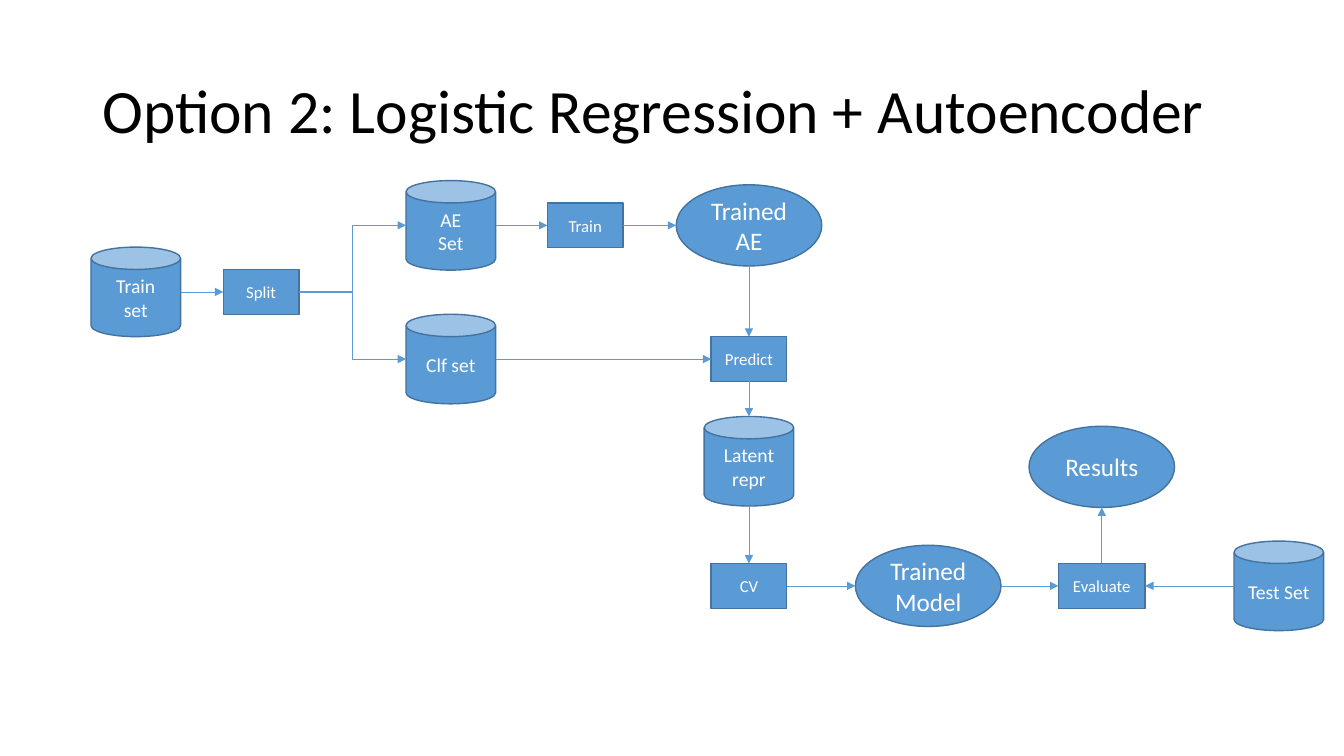
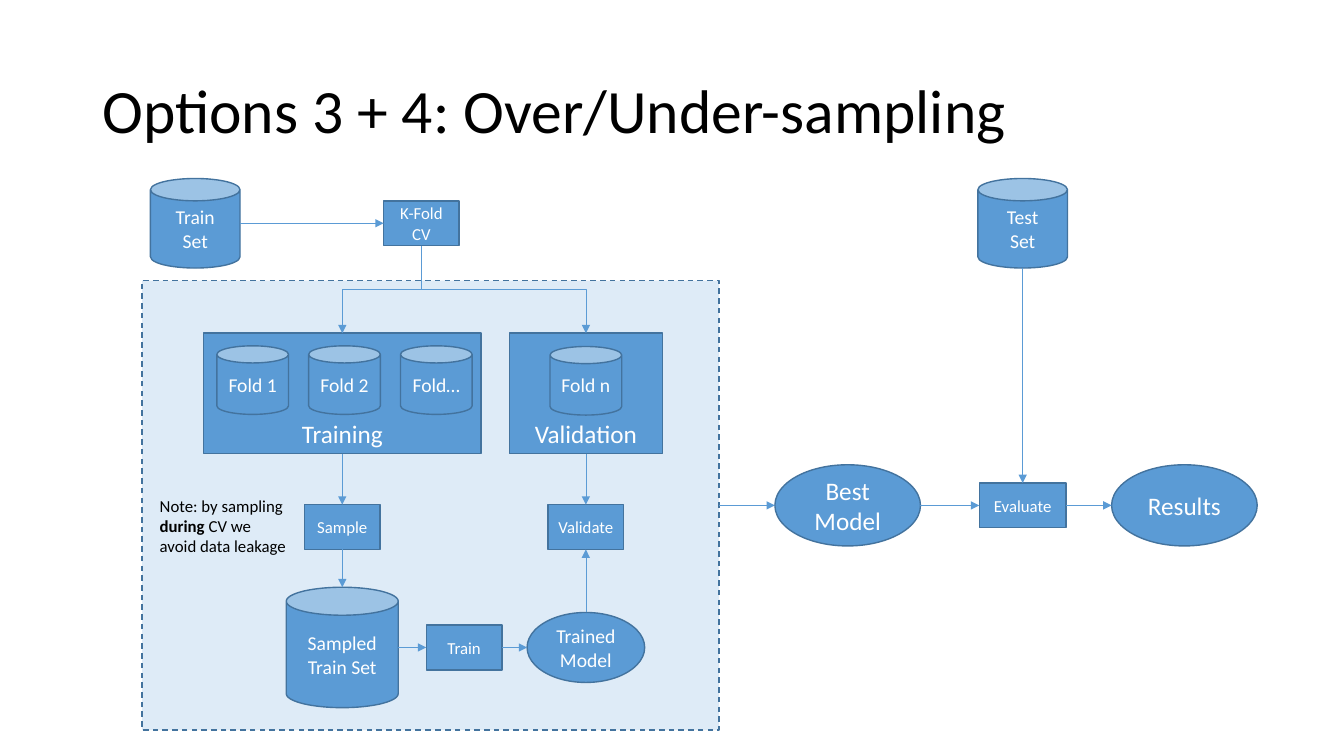
from dataclasses import dataclass
from enum import IntEnum

from lxml.etree import SubElement
from pptx import Presentation
from pptx.dml.color import RGBColor
from pptx.enum.dml import MSO_LINE
from pptx.enum.shapes import MSO_CONNECTOR as CONN, MSO_SHAPE as SHAPE
from pptx.enum.text import MSO_ANCHOR as ANCHOR, PP_ALIGN as ALIGN
from pptx.oxml.ns import qn
from pptx.util import Pt

# Shared look
BLUE = RGBColor(0x5B, 0x9B, 0xD5)
EDGE = RGBColor(0x43, 0x73, 0x9E)
PALE = RGBColor(0xDE, 0xEB, 0xF7)
WHITE = RGBColor(0xFF, 0xFF, 0xFF)
BLACK = RGBColor(0, 0, 0)
FONT = "Calibri"


class Side(IntEnum):
    TOP = 0
    LEFT = 1
    BOTTOM = 2
    RIGHT = 3


@dataclass(frozen=True)
class Kind:
    shape: SHAPE
    width: float
    height: float
    size: int = 14
    anchor: ANCHOR = ANCHOR.MIDDLE
    fill: RGBColor = BLUE
    dashed: bool = False


@dataclass(frozen=True)
class Node:
    """A shape placed by its centre."""
    name: str
    kind: Kind
    x: float
    y: float
    text: str = ""

    def side(self, side: Side) -> tuple[float, float]:
        dx, dy = {Side.TOP: (0, -1), Side.LEFT: (-1, 0),
                  Side.BOTTOM: (0, 1), Side.RIGHT: (1, 0)}[side]
        return self.x + dx * self.kind.width / 2, self.y + dy * self.kind.height / 2


@dataclass(frozen=True)
class Link:
    start: str
    out: Side
    end: str
    into: Side
    bent: bool = False


# Kinds of node
DATA = Kind(SHAPE.CAN, 64, 64)
FOLD = Kind(SHAPE.CAN, 51.2, 49)
SAMPLED = Kind(SHAPE.CAN, 80, 86)
STEP = Kind(SHAPE.RECTANGLE, 54, 32, 12)
EVALUATE = Kind(SHAPE.RECTANGLE, 62, 32, 12)
MODEL = Kind(SHAPE.OVAL, 104, 58, 18)
SMALL_MODEL = Kind(SHAPE.OVAL, 84, 50)
TRAINING = Kind(SHAPE.RECTANGLE, 198, 86, 18, ANCHOR.BOTTOM)
VALIDATION = Kind(SHAPE.RECTANGLE, 109.5, 86, 18, ANCHOR.BOTTOM)
PANEL = Kind(SHAPE.RECTANGLE, 412, 321, fill=PALE, dashed=True)

# Slide 1: rows and columns of the flow
AE_ROW, SPLIT_ROW, CLF_ROW, MODEL_ROW = 161, 208.5, 256.5, 418.5
SET_COL, LATENT_COL, EVAL_COL = 322, 535, 787
AE_NODES = [
    Node("train set", DATA, 97, SPLIT_ROW, "Train\vset"),
    Node("split", STEP, 186.5, SPLIT_ROW, "Split"),
    Node("ae set", DATA, SET_COL, AE_ROW, "AE\vSet"),
    Node("clf set", DATA, SET_COL, CLF_ROW, "Clf set"),
    Node("train", STEP, 418, AE_ROW, "Train"),
    Node("ae", MODEL, LATENT_COL, AE_ROW, "Trained AE"),
    Node("predict", STEP, LATENT_COL, CLF_ROW, "Predict"),
    Node("latent", DATA, LATENT_COL, 329.5, "Latent\vrepr"),
    Node("cv", STEP, LATENT_COL, MODEL_ROW, "CV"),
    Node("model", MODEL, 663, MODEL_ROW, "Trained Model"),
    Node("evaluate", EVALUATE, EVAL_COL, MODEL_ROW, "Evaluate"),
    Node("test set", DATA, 913.5, MODEL_ROW, "Test Set"),
    Node("results", MODEL, EVAL_COL, 333.5, "Results"),
]
AE_LINKS = [
    Link("train set", Side.RIGHT, "split", Side.LEFT),
    Link("split", Side.RIGHT, "ae set", Side.LEFT, bent=True),
    Link("split", Side.RIGHT, "clf set", Side.LEFT, bent=True),
    Link("ae set", Side.RIGHT, "train", Side.LEFT),
    Link("train", Side.RIGHT, "ae", Side.LEFT),
    Link("ae", Side.BOTTOM, "predict", Side.TOP),
    Link("clf set", Side.RIGHT, "predict", Side.LEFT),
    Link("predict", Side.BOTTOM, "latent", Side.TOP),
    Link("latent", Side.BOTTOM, "cv", Side.TOP),
    Link("cv", Side.RIGHT, "model", Side.LEFT),
    Link("model", Side.RIGHT, "evaluate", Side.LEFT),
    Link("test set", Side.LEFT, "evaluate", Side.RIGHT),
    Link("evaluate", Side.TOP, "results", Side.BOTTOM),
]

# Slide 2: rows and columns of the flow
TOP_ROW, FOLD_ROW, BOX_ROW = 159.5, 271.5, 281
RESULT_ROW, STEP_ROW, FIT_ROW = 361, 376.5, 462.5
TRAIN_COL, VALID_COL, TEST_COL = 244.5, 418.5, 730.5
FOLD_FIRST, FOLD_STEP = 180.5, 65.6
SAMPLING_NODES = [
    Node("panel", PANEL, 307.5, RESULT_ROW),
    Node("train set", DATA, 139.5, TOP_ROW, "Train\vSet"),
    Node("k-fold", STEP, 301, TOP_ROW, "K-Fold CV"),
    Node("training", TRAINING, TRAIN_COL, BOX_ROW, "Training"),
    Node("validation", VALIDATION, VALID_COL, BOX_ROW, "Validation"),
    *[Node(label, FOLD, FOLD_FIRST + i * FOLD_STEP, FOLD_ROW, label)
      for i, label in enumerate(("Fold 1", "Fold 2", "Fold…"))],
    Node("fold n", FOLD, VALID_COL, FOLD_ROW + 0.5, "Fold n"),
    Node("sample", STEP, TRAIN_COL, STEP_ROW, "Sample"),
    Node("validate", STEP, VALID_COL, STEP_ROW, "Validate"),
    Node("sampled", SAMPLED, TRAIN_COL, FIT_ROW, "Sampled Train Set"),
    Node("train", STEP, 331.5, FIT_ROW, "Train"),
    Node("model", SMALL_MODEL, VALID_COL, FIT_ROW, "Trained Model"),
    Node("best", MODEL, 605.5, RESULT_ROW, "Best Model"),
    Node("test set", DATA, TEST_COL, TOP_ROW, "Test\nSet"),
    Node("evaluate", EVALUATE, TEST_COL, RESULT_ROW, "Evaluate"),
    Node("results", MODEL, 846, RESULT_ROW, "Results"),
]
SAMPLING_LINKS = [
    Link("train set", Side.RIGHT, "k-fold", Side.LEFT),
    Link("k-fold", Side.BOTTOM, "training", Side.TOP, bent=True),
    Link("k-fold", Side.BOTTOM, "validation", Side.TOP, bent=True),
    Link("training", Side.BOTTOM, "sample", Side.TOP),
    Link("validation", Side.BOTTOM, "validate", Side.TOP),
    Link("sample", Side.BOTTOM, "sampled", Side.TOP),
    Link("sampled", Side.RIGHT, "train", Side.LEFT),
    Link("train", Side.RIGHT, "model", Side.LEFT),
    Link("model", Side.TOP, "validate", Side.BOTTOM),
    Link("panel", Side.RIGHT, "best", Side.LEFT),
    Link("best", Side.RIGHT, "evaluate", Side.LEFT),
    Link("test set", Side.BOTTOM, "evaluate", Side.TOP),
    Link("evaluate", Side.RIGHT, "results", Side.LEFT),
]


def format_run(r, size: float, color: RGBColor, bold: bool = False) -> None:
    for name, value in {"name": FONT, "size": Pt(size), "bold": bold}.items():
        setattr(r.font, name, value)
    r.font.color.rgb = color


def add_text(s, box: tuple, runs: list, size: float, anchor: ANCHOR, spacing: float = 1.0) -> None:
    """Add a wrapped text box; each run is (text, bold)."""
    tf = s.shapes.add_textbox(*map(Pt, box)).text_frame
    tf.word_wrap = True
    tf.vertical_anchor = anchor
    p = tf.paragraphs[0]
    p.line_spacing = spacing
    for text, bold in runs:
        r = p.add_run()
        r.text = text
        format_run(r, size, BLACK, bold)


def add_node(s, node: Node):
    kind = node.kind
    left, top = node.x - kind.width / 2, node.y - kind.height / 2
    sp = s.shapes.add_shape(kind.shape, Pt(left), Pt(top), Pt(kind.width), Pt(kind.height))
    sp.shadow.inherit = False
    sp.fill.solid()
    sp.fill.fore_color.rgb = kind.fill
    sp.line.color.rgb = EDGE
    sp.line.width = Pt(1)
    if kind.dashed:
        sp.line.dash_style = MSO_LINE.DASH
    tf = sp.text_frame
    tf.word_wrap = True
    tf.vertical_anchor = kind.anchor
    tf.text = node.text
    for p in tf.paragraphs:
        p.alignment = ALIGN.CENTER
        for r in p.runs:
            format_run(r, kind.size, WHITE)
    return sp


def add_link(s, link: Link, nodes: dict, shapes: dict) -> None:
    start, end = nodes[link.start], nodes[link.end]
    (x1, y1), (x2, y2) = start.side(link.out), end.side(link.into)
    turned = link.bent and link.out == Side.BOTTOM
    if turned:  # a vertical elbow is a horizontal one turned by 90 degrees
        mx, my, dx, dy = (x1 + x2) / 2, (y1 + y2) / 2, (x2 - x1) / 2, (y2 - y1) / 2
        x1, y1, x2, y2 = mx - dy, my + dx, mx + dy, my - dx
    style = CONN.ELBOW if link.bent else CONN.STRAIGHT
    c = s.shapes.add_connector(style, Pt(x1), Pt(y1), Pt(x2), Pt(y2))
    sp_pr = c._element.spPr
    if turned:
        sp_pr.find(qn("a:xfrm")).set("rot", "5400000")
    if not link.bent:
        if start.kind.shape == SHAPE.RECTANGLE:
            c.begin_connect(shapes[link.start], int(link.out))
        if end.kind.shape == SHAPE.RECTANGLE:
            c.end_connect(shapes[link.end], int(link.into))
    c.line.color.rgb = BLUE
    c.line.width = Pt(0.5)
    SubElement(sp_pr.find(qn("a:ln")), qn("a:tailEnd"), type="triangle")
    SubElement(sp_pr, qn("a:effectLst"))


def add_flow(prs, title: str, flow: list[Node], links: list[Link]):
    s = prs.slides.add_slide(prs.slide_layouts[6])
    add_text(s, (66, 29, 828, 104), [(title, False)], 44, ANCHOR.MIDDLE, 0.9)
    nodes = {node.name: node for node in flow}
    shapes = {node.name: add_node(s, node) for node in flow}
    for link in links:
        add_link(s, link, nodes, shapes)
    return s


def main() -> None:
    prs = Presentation()
    prs.slide_width, prs.slide_height = Pt(960), Pt(540)

    add_flow(prs, "Option 2: Logistic Regression + Autoencoder", AE_NODES, AE_LINKS)

    s = add_flow(prs, "Options 3 + 4: Over/Under-sampling", SAMPLING_NODES, SAMPLING_LINKS)
    note = [("Note: by sampling ", False), ("during", True),
            (" CV we avoid data leakage", False)]
    add_text(s, (107, 350.5, 108, 51), note, 12, ANCHOR.TOP)

    prs.save("out.pptx")


if __name__ == "__main__":
    main()
